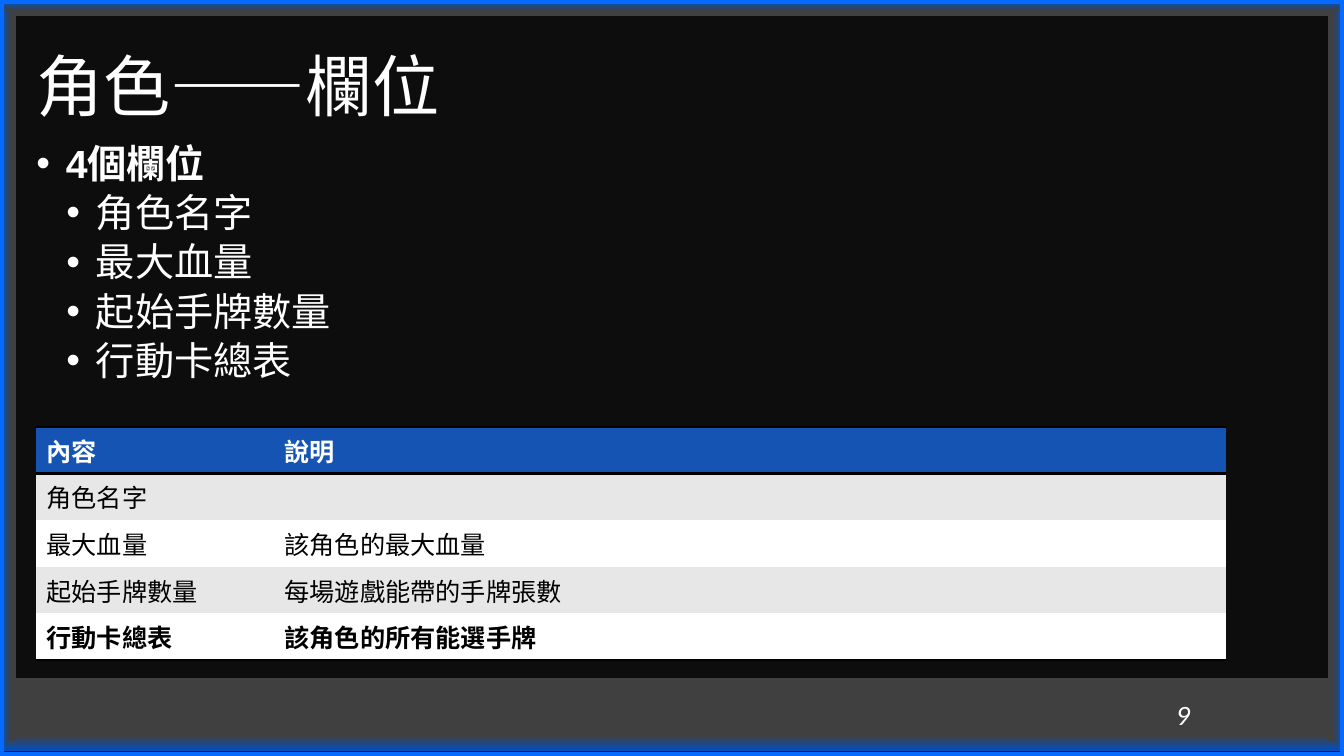
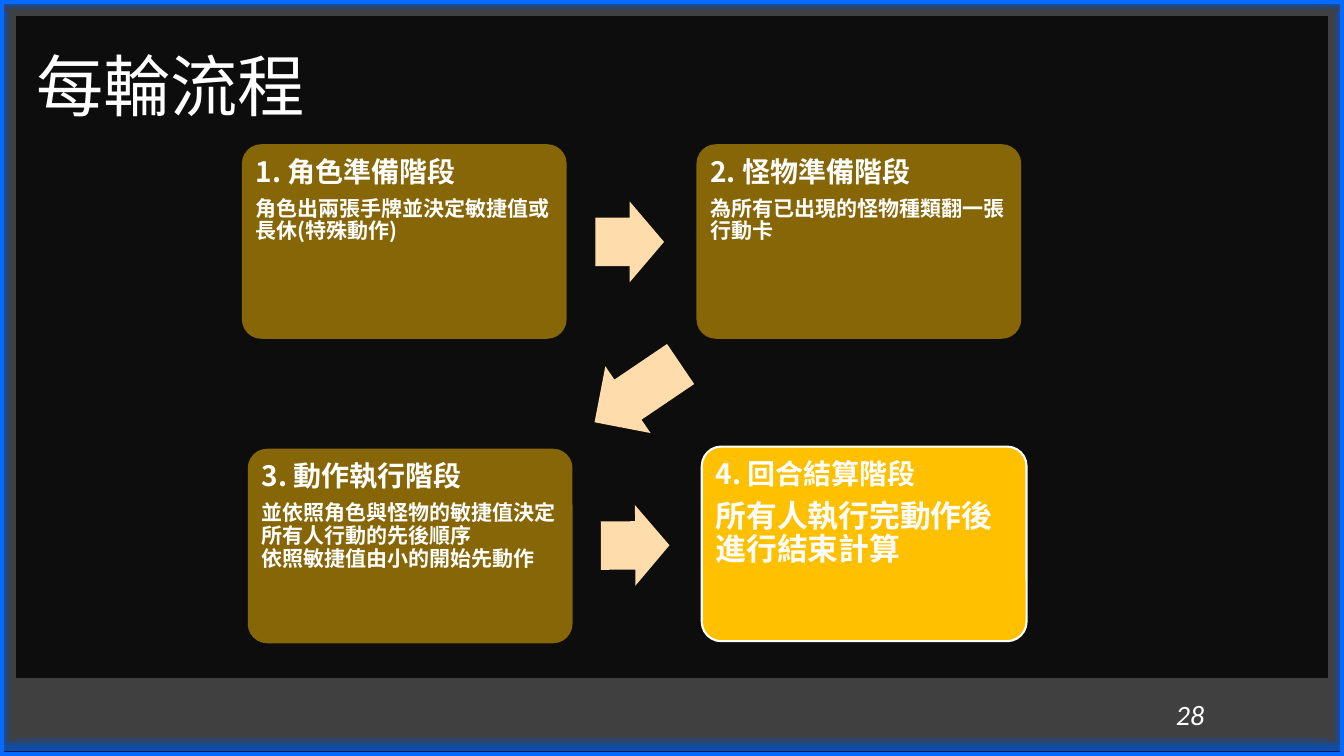
from dataclasses import dataclass
from typing import Any, Optional

import lxml.etree
import pptx
import pptx.dml.color
import pptx.enum.shapes
import pptx.enum.text
import pptx.oxml.ns
import pptx.util

Pt = pptx.util.Pt
qn = pptx.oxml.ns.qn
SHAPE = pptx.enum.shapes.MSO_SHAPE
ANCHOR = pptx.enum.text.MSO_ANCHOR
LEFT = pptx.enum.text.PP_ALIGN.LEFT

WIDTH, HEIGHT = 960, 540
MARGIN = 26
LINE_SPACING = 0.9
CJK, LATIN, NUMERAL = "Noto Sans CJK SC", "Arial", "Calibri"
PLAIN_TABLE = "{2D5ABB26-0587-4C30-8999-92F81FD0307C}"
COLORS = {
    "back": "0D0D0D",
    "glow": "004FC3",
    "band": "404040",
    "frame": "056AFF",
    "white": "FFFFFF",
    "black": "000000",
    "header": "1554B2",
    "stripe": "E7E7E7",
    "gold": "FFC000",
    "arrow": "FFDCAB",
}


@dataclass(frozen=True)
class Box:
    left: float
    top: float
    width: float
    height: float

    def lengths(self) -> list[int]:
        return [Pt(v) for v in (self.left, self.top, self.width, self.height)]


@dataclass(frozen=True)
class Band:
    box: Box
    glow_end: float
    angle: float


@dataclass(frozen=True)
class Card:
    left: float
    top: float
    heading: str
    detail: str
    detail_size: float = 15
    current: bool = False


@dataclass(frozen=True)
class Arrow:
    left: float
    top: float
    width: float
    rotation: float = 0


BANDS = [
    Band(Box(0, 484, WIDTH, 52.6), 0.21, 90),
    Band(Box(0, 0, WIDTH, 11.3), 0.72, 270),
    Band(Box(0, 7.5, 11.3, 522), 0.72, 0),
    Band(Box(WIDTH - 11.3, 7.5, 11.3, 522), 0.72, 180),
]

FIELDS = [
    ("角色名字", ""),
    ("最大血量", "該角色的最大血量"),
    ("起始手牌數量", "每場遊戲能帶的手牌張數"),
    ("行動卡總表", "該角色的所有能選手牌"),
]

CARDS = [
    Card(172.8, 103, "1. 角色準備階段", "角色出兩張手牌並決定敏捷值或\n長休(特殊動作)"),
    Card(497.5, 103, "2. 怪物準備階段", "為所有已出現的怪物種類翻一張行動卡"),
    Card(177, 320.5, "3. 動作執行階段",
         "並依照角色與怪物的敏捷值決定所有人行動的先後順序\n依照敏捷值由小的開始先動作"),
    Card(501.3, 319, "4. 回合結算階段", "所有人執行完動作後進行結束計算", 22, True),
]

ARROWS = [
    Arrow(425.3, 144, 49),
    Arrow(418.3, 252, 74.2, 145.9),
    Arrow(429.2, 360.8, 49, 359.7),
]


def rgb(name: str) -> pptx.dml.color.RGBColor:
    return pptx.dml.color.RGBColor.from_string(COLORS[name])


def format_runs(p: Any, size: float, color: str = "white", bold: bool = False,
                italic: bool = False, font: str = CJK) -> None:
    for r in p.runs:
        r.font.size = Pt(size)
        r.font.bold = bold
        r.font.italic = italic
        r.font.name = font
        r.font.color.rgb = rgb(color)
        ea = lxml.etree.Element(qn("a:ea"), typeface=CJK)
        r._r.get_or_add_rPr().find(qn("a:latin")).addnext(ea)


def set_frame(tf: Any, inset: float, anchor: Any) -> None:
    tf.word_wrap = True
    tf.auto_size = pptx.enum.text.MSO_AUTO_SIZE.NONE
    tf.vertical_anchor = anchor
    tf.margin_left = tf.margin_right = Pt(inset)
    tf.margin_top = tf.margin_bottom = Pt(inset)


def place(sp: Any, box: Box) -> None:
    sp.left, sp.top, sp.width, sp.height = box.lengths()


def add_shape(slide: Any, kind: Any, box: Box, fill: Optional[str] = None) -> Any:
    sp = slide.shapes.add_shape(kind, *box.lengths())
    sp.shadow.inherit = False
    sp.line.fill.background()
    if fill:
        sp.fill.solid()
        sp.fill.fore_color.rgb = rgb(fill)
    return sp


def decorate_master(prs: Any, slide: Any) -> None:
    """Draw background, bands and frame on the slide, then move them to the master."""
    master = prs.slide_master
    master.background.fill.solid()
    master.background.fill.fore_color.rgb = rgb("back")
    parts = []
    for band in BANDS:
        sp = add_shape(slide, SHAPE.RECTANGLE, band.box)
        sp.fill.gradient()
        sp.fill.gradient_angle = band.angle
        stops = zip(sp.fill.gradient_stops, ("glow", "band"), (0, band.glow_end))
        for stop, color, position in stops:
            stop.color.rgb = rgb(color)
            stop.position = position
        parts.append(sp)
    frame = add_shape(slide, SHAPE.FRAME, Box(0, 0, WIDTH, HEIGHT), "frame")
    frame.adjustments[0] = 3 / HEIGHT
    parts.append(frame)
    tree = master.element.cSld.spTree
    for i, sp in enumerate(parts):
        sp.element.nvSpPr.cNvPr.set("id", str(20 + i))
        tree.insert(2 + i, sp.element)


def set_title(slide: Any, title: str) -> None:
    sp = slide.shapes.title
    place(sp, Box(MARGIN, 25, 893, 78))
    tf = sp.text_frame
    tf.text = title
    set_frame(tf, 0, ANCHOR.MIDDLE)
    p = tf.paragraphs[0]
    p.alignment = LEFT
    p.line_spacing = LINE_SPACING
    format_runs(p, 48)


def add_page_number(slide: Any, number: int) -> None:
    sp = slide.shapes.add_textbox(*Box(840, 484, 60, 52.6).lengths())
    tf = sp.text_frame
    tf.text = str(number)
    set_frame(tf, 0, ANCHOR.MIDDLE)
    format_runs(tf.paragraphs[0], 20, italic=True, font=NUMERAL)


def fill_list(sp: Any, heading: str, items: list[str]) -> None:
    place(sp, Box(MARGIN, 103, 850, 372))
    tf = sp.text_frame
    tf.text = "\n".join([heading, *items])
    set_frame(tf, 0, ANCHOR.TOP)
    for i, p in enumerate(tf.paragraphs):
        p.level = min(i, 1)
        pPr = p._p.get_or_add_pPr()
        pPr.set("marL", str(Pt((21, 42.5)[p.level])))
        pPr.set("indent", str(-Pt(21)))
        lxml.etree.SubElement(pPr, qn("a:buChar"), char="•")
        p.line_spacing = LINE_SPACING
        p.space_before = Pt(5 if i else 0)
        format_runs(p, 28, bold=i == 0, font=LATIN)


def add_border(cell: Any, index: int, edge: str) -> None:
    ln = lxml.etree.Element(qn(edge), w=str(Pt(2)))
    fill = lxml.etree.SubElement(ln, qn("a:solidFill"))
    lxml.etree.SubElement(fill, qn("a:srgbClr"), val=COLORS["black"])
    cell._tc.get_or_add_tcPr().insert(index, ln)


def add_field_table(slide: Any) -> None:
    rows = [("內容", "說明"), *FIELDS]
    last = len(rows) - 1
    box = Box(MARGIN, 305, 850, 29.3 * len(rows))
    frame = slide.shapes.add_table(len(rows), 2, *box.lengths())
    for style in frame.element.iter(qn("a:tableStyleId")):
        style.text = PLAIN_TABLE
    table = frame.table
    for column, width in zip(table.columns, (170, 680)):
        column.width = Pt(width)
    for i, row in enumerate(rows):
        fill = "header" if i == 0 else "stripe" if i % 2 else "white"
        edges = {0: ("a:lnT", "a:lnB"), last: ("a:lnB",)}.get(i, ())
        for j, text in enumerate(row):
            cell = table.cell(i, j)
            cell.text_frame.text = text
            cell.fill.solid()
            cell.fill.fore_color.rgb = rgb(fill)
            for k, edge in enumerate(edges):
                add_border(cell, k, edge)
            format_runs(cell.text_frame.paragraphs[0], 18,
                        "black" if i else "white", i in (0, last), font=LATIN)


def add_card(slide: Any, card: Card) -> None:
    box = Box(card.left, card.top, 232, 139)
    sp = add_shape(slide, SHAPE.ROUNDED_RECTANGLE, box, "gold")
    sp.adjustments[0] = 0.1
    if card.current:
        sp.line.color.rgb = rgb("white")
        sp.line.width = Pt(1.5)
    else:
        color = sp.element.spPr.find(qn("a:solidFill"))[0]
        lxml.etree.SubElement(color, qn("a:alpha"), val="50000")
    tf = sp.text_frame
    set_frame(tf, 5.8, ANCHOR.TOP)
    heading, detail = tf.paragraphs[0], tf.add_paragraph()
    heading.text = card.heading
    heading.space_after = Pt(7)
    detail.text = card.detail
    for p, size in ((heading, 20), (detail, card.detail_size)):
        p.alignment = LEFT
        p.line_spacing = LINE_SPACING
        format_runs(p, size, bold=True)


def add_arrow(slide: Any, arrow: Arrow) -> None:
    box = Box(arrow.left, arrow.top, arrow.width, 57.6)
    sp = add_shape(slide, SHAPE.RIGHT_ARROW, box, "arrow")
    sp.adjustments[0] = 0.6
    sp.adjustments[1] = 0.5
    sp.rotation = arrow.rotation


def add_slide(prs: Any, layout: int, title: str, number: int) -> Any:
    slide = prs.slides.add_slide(prs.slide_layouts[layout])
    set_title(slide, title)
    add_page_number(slide, number)
    return slide


def main() -> None:
    prs = pptx.Presentation()
    prs.slide_width, prs.slide_height = Pt(WIDTH), Pt(HEIGHT)

    fields = add_slide(prs, 1, "角色——欄位", 9)
    decorate_master(prs, fields)
    add_field_table(fields)
    fill_list(fields.placeholders[1], "4個欄位", [name for name, _ in FIELDS])

    flow = add_slide(prs, 5, "每輪流程", 28)
    for card in CARDS:
        add_card(flow, card)
    for arrow in ARROWS:
        add_arrow(flow, arrow)

    prs.save("out.pptx")


if __name__ == "__main__":
    main()
